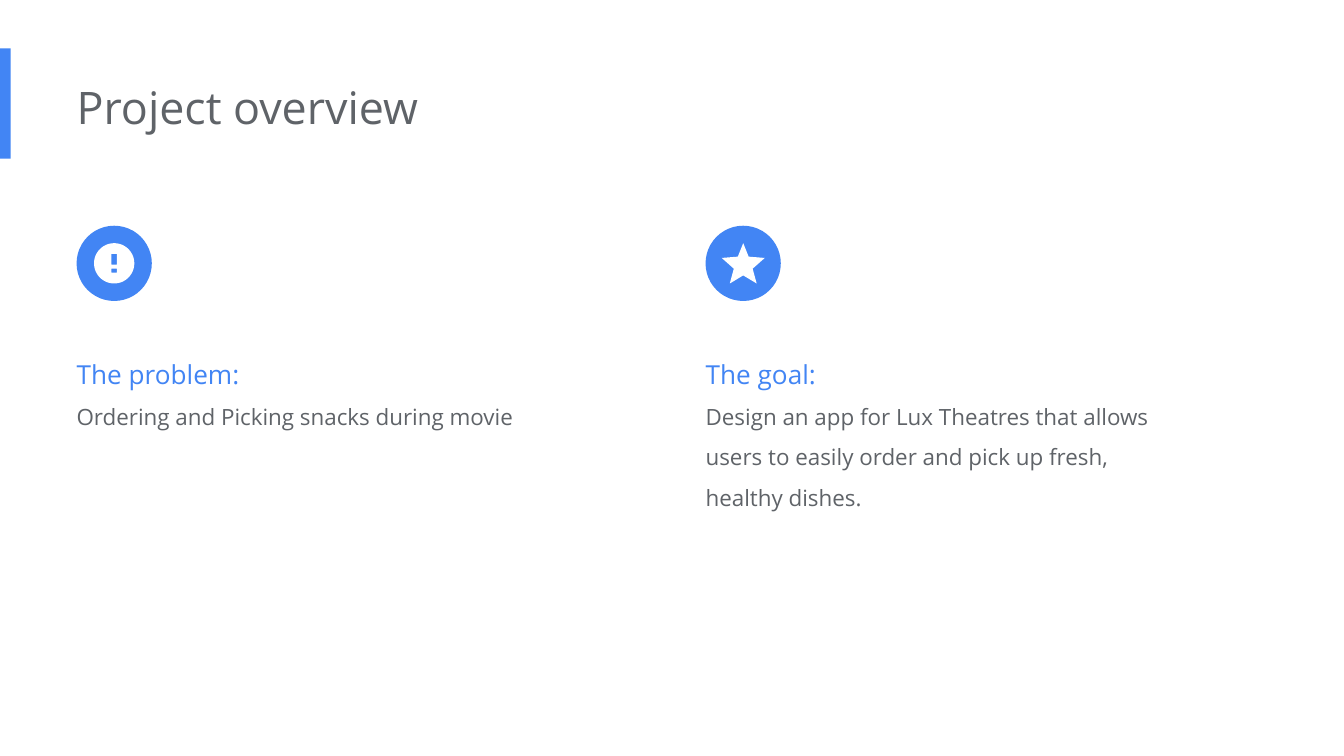
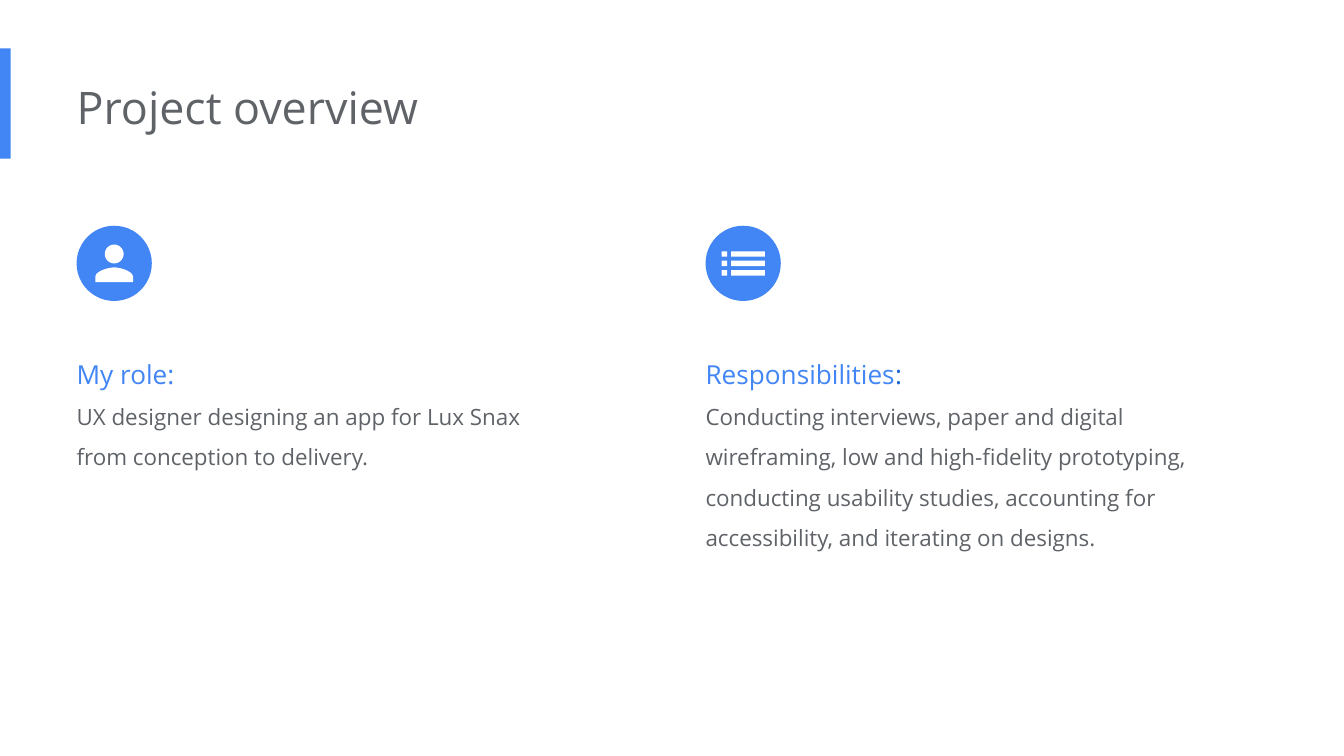
import math
import pptx
import pptx.util
import pptx.dml.color
import pptx.enum.shapes
import pptx.enum.text

Inches = pptx.util.Inches
Shapes = pptx.enum.shapes.MSO_SHAPE
Anchor = pptx.enum.text.MSO_ANCHOR
AutoSize = pptx.enum.text.MSO_AUTO_SIZE

BLUE, DEEP_BLUE, GREY, WHITE = "4285F4", "1967D2", "5F6368", "FFFFFF"
FONT = "Open Sans"
TITLE = "Project overview"

SLIDES = [
    [
        {"icon": "alert", "heading": [("The problem:", BLUE)], "size": (3.77, 0.86),
         "body": "Ordering and Picking snacks during movie"},
        {"icon": "star", "heading": [("The goal:", BLUE)], "size": (3.58, 1.46),
         "body": "Design an app for Lux Theatres that allows users to easily order "
                 "and pick up fresh, healthy dishes."},
    ],
    [
        {"icon": "person", "heading": [("My role:", BLUE)], "size": (3.77, 1.16),
         "body": "UX designer designing an app for Lux Snax from conception to delivery."},
        {"icon": "list", "heading": [("Responsibilities", BLUE), (":", DEEP_BLUE)],
         "size": (3.77, 1.67),
         "body": "Conducting interviews, paper and digital wireframing, low and "
                 "high-fidelity prototyping, conducting usability studies, accounting "
                 "for accessibility, and iterating on designs."},
    ],
]

SLIDE_WIDTH = Inches(10)
SLIDE_HEIGHT = SLIDE_WIDTH * 9 // 16
BAND = (0, 0.36, 0.08, 0.82)
TITLE_BOX = (0.57, 0.49, 6.73, 0.61)
COLUMN_LEFTS = (0.57, 5.25)
BADGE_TOP, BADGE_SIZE = 1.68, 0.56
TEXT_TOP = 2.45
FRAME_FORMAT = {
    "word_wrap": True,
    "margin_left": 0,
    "margin_top": Inches(0.1),
    "margin_right": Inches(0.1),
    "margin_bottom": Inches(0.1),
}


def rgb(value):
    return pptx.dml.color.RGBColor.from_string(value)


def assign(target, values):
    for name, value in values.items():
        setattr(target, name, value)


def inches(values):
    return [Inches(value) for value in values]


def circle(x, y, radius, steps=60):
    angles = [2 * math.pi * step / steps for step in range(steps)]
    return [(x + radius * math.cos(a), y + radius * math.sin(a)) for a in angles]


def bar(left, top, right, bottom):
    return [(left, top), (right, top), (right, bottom), (left, bottom)]


def curve(a, b, c, d, steps=16):
    points = []
    for step in range(steps + 1):
        t = step / steps
        weights = ((1 - t) ** 3, 3 * t * (1 - t) ** 2, 3 * t * t * (1 - t), t ** 3)
        points.append(tuple(sum(w * p[axis] for w, p in zip(weights, (a, b, c, d)))
                            for axis in (0, 1)))
    return points


def mirrored(half):
    return half + [(-x, y) for x, y in reversed(half)]


STAR_HALF = [(0, -0.15), (0.04, -0.05), (0.16, -0.04), (0.07, 0.04), (0.1, 0.15), (0, 0.09)]
SHOULDER_HALF = curve((0, 0.03), (0.05, 0.03), (0.14, 0.06), (0.14, 0.1)) + [(0.14, 0.14)]
ICONS = {
    "alert": [circle(0, 0, 0.15), bar(-0.02, -0.07, 0.02, 0.01),
              bar(-0.02, 0.04, 0.02, 0.07)],
    "star": [mirrored(STAR_HALF)],
    "person": [circle(0, -0.07, 0.07), mirrored(SHOULDER_HALF)],
    "list": [bar(left, middle - 0.02, right, middle + 0.02)
             for middle in (-0.07, 0, 0.07)
             for left, right in ((-0.16, -0.12), (-0.09, 0.16))],
}


def paint(shape, color):
    shape.fill.solid()
    shape.fill.fore_color.rgb = rgb(color)
    shape.line.fill.background()
    shape.shadow.inherit = False


def add_filled(slide, kind, box, color):
    shape = slide.shapes.add_shape(kind, *inches(box))
    paint(shape, color)
    return shape


def add_run(paragraph, text, size, color):
    run = paragraph.add_run()
    run.text = text
    assign(run.font, {"name": FONT, "size": pptx.util.Pt(size)})
    run.font.color.rgb = rgb(color)


def add_icon(slide, outlines, center_x, center_y):
    builder = None
    for outline in outlines:
        points = [(Inches(center_x + x), Inches(center_y + y)) for x, y in outline]
        if builder is None:
            builder = slide.shapes.build_freeform(*points[0])
        else:
            builder.move_to(*points[0])
        builder.add_line_segments(points[1:], close=True)
    paint(builder.convert_to_shape(), WHITE)


def add_title(slide):
    title = slide.shapes.title
    assign(title, dict(zip(("left", "top", "width", "height"), inches(TITLE_BOX))))
    assign(title.text_frame, {**FRAME_FORMAT, "vertical_anchor": Anchor.MIDDLE,
                              "auto_size": AutoSize.NONE})
    paragraph = title.text_frame.paragraphs[0]
    paragraph.alignment = pptx.enum.text.PP_ALIGN.LEFT
    add_run(paragraph, TITLE, 24, GREY)


def add_column(slide, left, column):
    add_filled(slide, Shapes.OVAL, (left, BADGE_TOP, BADGE_SIZE, BADGE_SIZE), BLUE)
    radius = BADGE_SIZE / 2
    add_icon(slide, ICONS[column["icon"]], left + radius, BADGE_TOP + radius)
    frame = slide.shapes.add_textbox(*inches((left, TEXT_TOP, *column["size"]))).text_frame
    assign(frame, {**FRAME_FORMAT, "auto_size": AutoSize.SHAPE_TO_FIT_TEXT})
    heading, body = frame.paragraphs[0], frame.add_paragraph()
    for text, color in column["heading"]:
        add_run(heading, text, 14, color)
    add_run(body, column["body"], 12, GREY)
    for paragraph in (heading, body):
        paragraph.line_spacing = 1.5


def main():
    deck = pptx.Presentation()
    assign(deck, {"slide_width": SLIDE_WIDTH, "slide_height": SLIDE_HEIGHT})
    layout = deck.slide_layouts[5]
    for columns in SLIDES:
        slide = deck.slides.add_slide(layout)
        add_title(slide)
        for left, column in zip(COLUMN_LEFTS, columns):
            add_column(slide, left, column)
    band = add_filled(deck.slides[0], Shapes.RECTANGLE, BAND, BLUE)
    layout.shapes.element.insert(2, band.element)
    deck.save("out.pptx")


if __name__ == "__main__":
    main()
